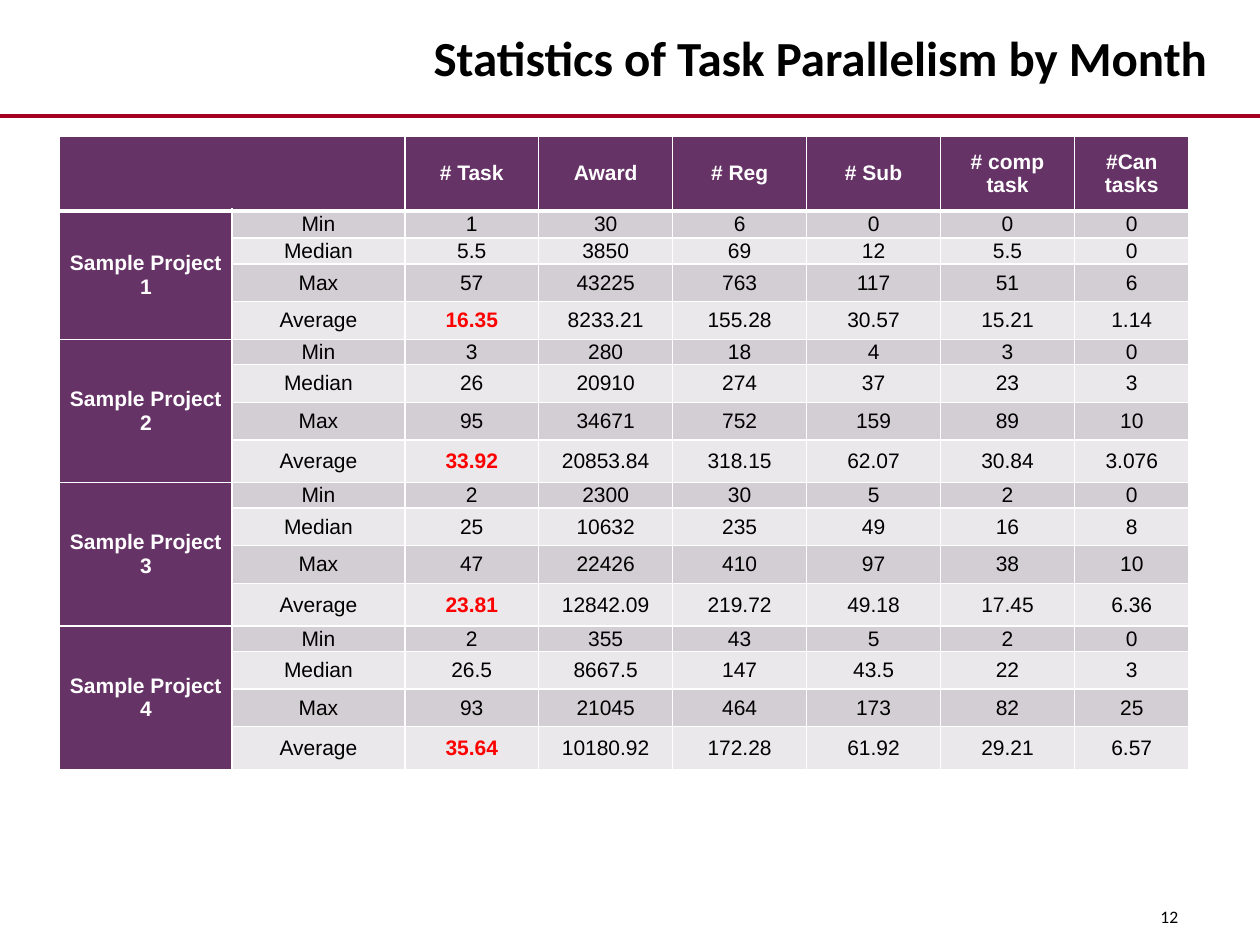
"""Build the slide with monthly task parallelism statistics."""
import pptx
import pptx.dml.color
import pptx.enum.shapes
import pptx.enum.text
import pptx.oxml
import pptx.util
from pptx.util import Cm

ALIGN = pptx.enum.text.PP_ALIGN
MIDDLE = pptx.enum.text.MSO_ANCHOR.MIDDLE


def color(value):
    return pptx.dml.color.RGBColor.from_string(value)


def style(frame, size, font, ink, bold, align):
    for para in frame.paragraphs:
        para.alignment = align
        for span in para.runs:
            span.font.size = pptx.util.Pt(size)
            span.font.name = font
            span.font.bold = bold
            span.font.color.rgb = color(ink)


deck = pptx.Presentation()
deck.slide_width, deck.slide_height = Cm(25.4), Cm(19.05)
page = deck.slides.add_slide(deck.slide_layouts[6])

rule = page.shapes.add_connector(
    pptx.enum.shapes.MSO_CONNECTOR.STRAIGHT, Cm(0), Cm(2.33), Cm(25.4), Cm(2.33))
rule.line.color.rgb = color("A50021")
rule.line.width = pptx.util.Pt(2.25)
rule._element.spPr.append(pptx.oxml.parse_xml(
    '<a:effectLst xmlns:a="http://schemas.openxmlformats.org/drawingml/2006/main"/>'))

footer = page.shapes.add_shape(
    pptx.enum.shapes.MSO_SHAPE.RECTANGLE, Cm(0.2), Cm(18.16), Cm(24.8), Cm(0.64))
footer.shadow.inherit = False
footer.fill.solid()
footer.fill.fore_color.rgb = color("FFFFFF")
footer.line.fill.background()
footer.text_frame.text = "12"
footer.text_frame.margin_right = Cm(1.25)
footer.text_frame.vertical_anchor = MIDDLE
style(footer.text_frame, 10, "Calibri", "000000", False, ALIGN.RIGHT)

title = page.shapes.add_textbox(Cm(5.08), Cm(0), Cm(19.5), Cm(2.29))
title.text_frame.word_wrap = True
title.text_frame.text = "Statistics of Task Parallelism by Month"
title.text_frame.vertical_anchor = MIDDLE
style(title.text_frame, 28, "Calibri", "000000", True, ALIGN.RIGHT)

headings = ["", "", "# Task", "Award", "# Reg", "# Sub", "# comp task", "#Can tasks"]
measures = ["Min", "Median", "Max", "Average"]
projects = {
    "Sample Project 1": [
        ["1", "30", "6", "0", "0", "0"],
        ["5.5", "3850", "69", "12", "5.5", "0"],
        ["57", "43225", "763", "117", "51", "6"],
        ["16.35", "8233.21", "155.28", "30.57", "15.21", "1.14"],
    ],
    "Sample Project 2": [
        ["3", "280", "18", "4", "3", "0"],
        ["26", "20910", "274", "37", "23", "3"],
        ["95", "34671", "752", "159", "89", "10"],
        ["33.92", "20853.84", "318.15", "62.07", "30.84", "3.076"],
    ],
    "Sample Project 3": [
        ["2", "2300", "30", "5", "2", "0"],
        ["25", "10632", "235", "49", "16", "8"],
        ["47", "22426", "410", "97", "38", "10"],
        ["23.81", "12842.09", "219.72", "49.18", "17.45", "6.36"],
    ],
    "Sample Project 4": [
        ["2", "355", "43", "5", "2", "0"],
        ["26.5", "8667.5", "147", "43.5", "22", "3"],
        ["93", "21045", "464", "173", "82", "25"],
        ["35.64", "10180.92", "172.28", "61.92", "29.21", "6.57"],
    ],
}
rows = [headings]
for project, records in projects.items():
    for measure, record in zip(measures, records):
        rows.append([project if measure == "Min" else "", measure] + record)

widths = [3.48, 3.48] + [2.7] * 5 + [2.31]
heights = [1.5, 0.55, 0.52, 0.76, 0.76] + [0.51, 0.76, 0.76, 0.86] * 3
table = page.shapes.add_table(
    len(rows), len(widths), Cm(1.2), Cm(2.75), Cm(sum(widths)), Cm(sum(heights))).table
for column, width in zip(table.columns, widths):
    column.width = Cm(width)
for row, height in zip(table.rows, heights):
    row.height = Cm(height)

table.cell(0, 0).merge(table.cell(0, 1))
for first in range(1, len(rows), len(measures)):
    table.cell(first, 0).merge(table.cell(first + len(measures) - 1, 0))

for r, values in enumerate(rows):
    for c, value in enumerate(values):
        cell = table.cell(r, c)
        if value:
            cell.text_frame.text = value
        cell.vertical_anchor = MIDDLE
        cell.margin_left = cell.margin_right = Cm(0.18)
        cell.margin_top = cell.margin_bottom = Cm(0)
        for side in "LRTB":
            thick = (r, side) in ((0, "B"), (1, "T"))
            cell._tc.get_or_add_tcPr().append(pptx.oxml.parse_xml(
                '<a:ln%s xmlns:a="http://schemas.openxmlformats.org/drawingml/2006/main" w="%d">'
                '<a:solidFill><a:srgbClr val="FFFFFF"/></a:solidFill></a:ln%s>'
                % (side, pptx.util.Pt(3 if thick else 1), side)))
        header = r == 0 or c == 0
        average = c == 2 and values[1] == "Average"
        cell.fill.solid()
        cell.fill.fore_color.rgb = color(
            "663366" if header else "D3CED3" if r % 2 else "EAE8EA")
        ink = "FFFFFF" if header else "FF0000" if average else "000000"
        style(cell.text_frame, 12, "Arial", ink, header or average, ALIGN.CENTER)

deck.save("out.pptx")
